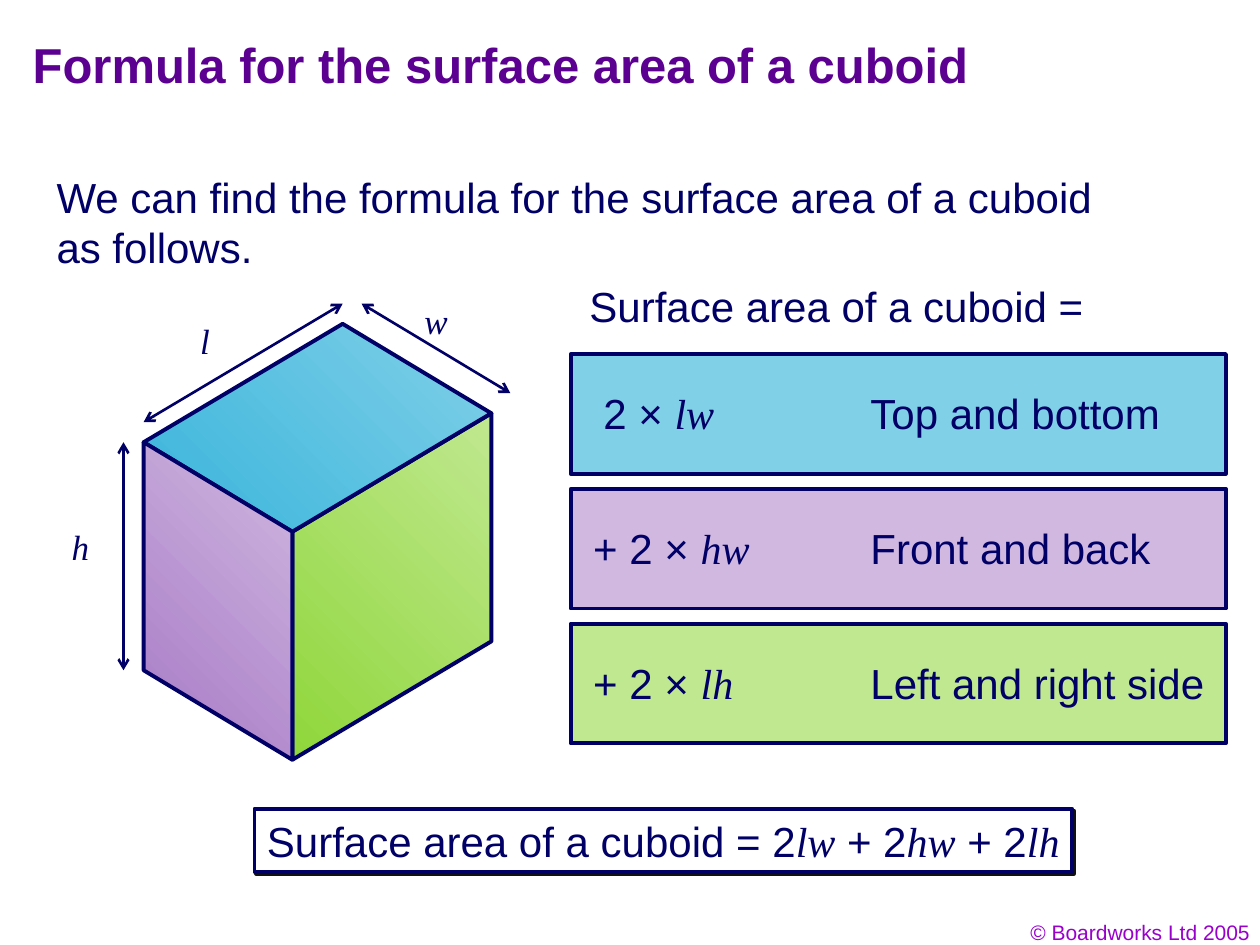
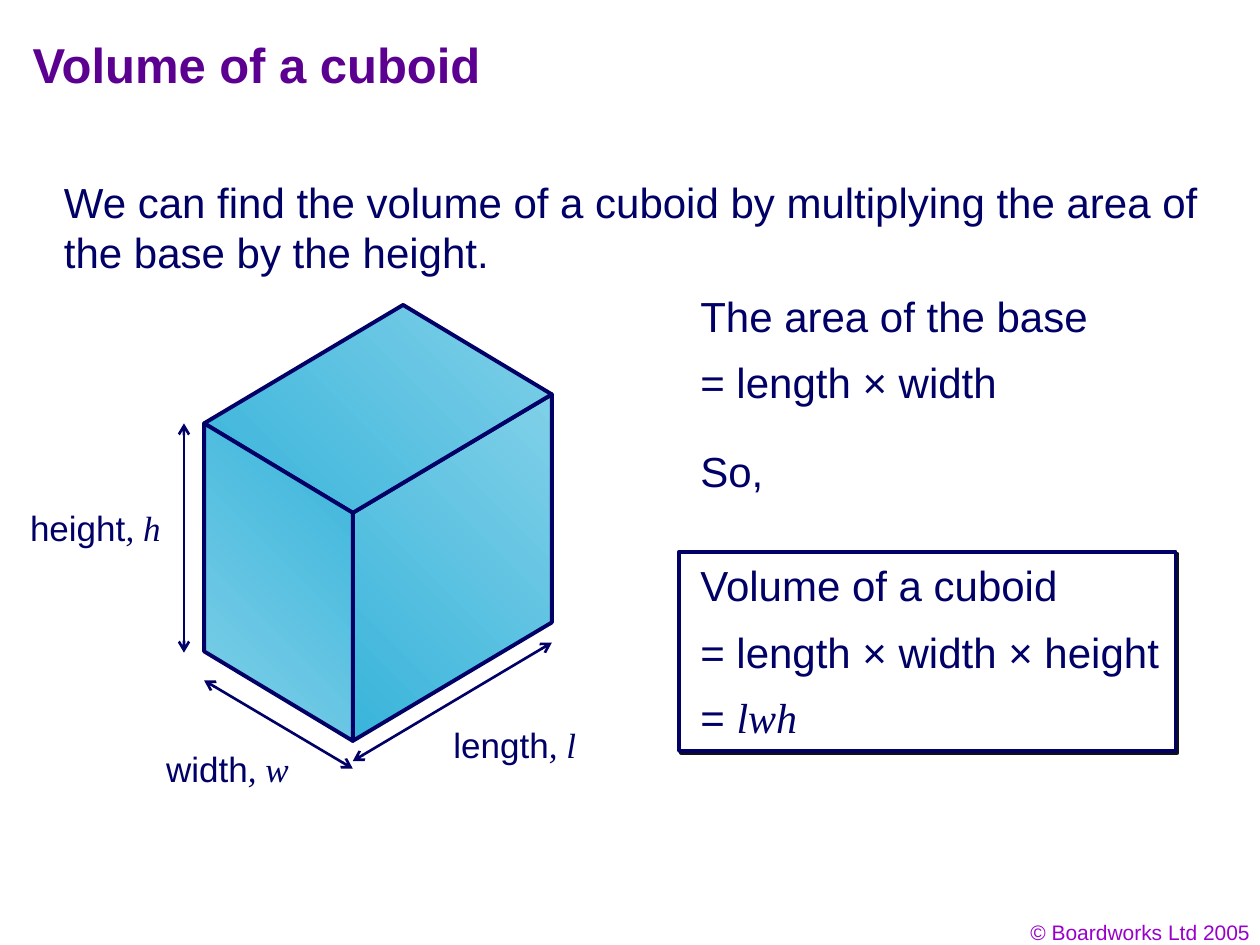
"""Build two slides on the surface area and the volume of a cuboid."""
from lxml.etree import SubElement
from pptx import Presentation
from pptx.dml.color import RGBColor
from pptx.enum.shapes import MSO_CONNECTOR, MSO_SHAPE
from pptx.enum.text import MSO_ANCHOR, MSO_AUTO_SIZE, PP_ALIGN
from pptx.oxml.ns import qn
from pptx.util import Pt

PX = 9144
INK, PURPLE, VIOLET, WHITE = "000066", "5B0091", "9900CC", "FFFFFF"
BLUE, LILAC, GREEN = "80D0E8", "D0B8E0", "C0E890"
DEEP_BLUE, DEEP_LILAC, DEEP_GREEN = "39B4DB", "A679C5", "8FD63A"
rgb = RGBColor.from_string


def write(box, text, size=24, color=INK, bold=False, wrap=False, align=PP_ALIGN.LEFT):
    """Fill a box with text, where parts between bars are italic symbols."""
    frame = box.text_frame
    frame.auto_size = MSO_AUTO_SIZE.NONE
    frame.word_wrap = wrap
    para = frame.paragraphs[0]
    para.alignment = align
    for index, part in enumerate(text.split("|")):
        if not part:
            continue
        span = para.add_run()
        span.text = part
        symbol = index % 2 == 1
        look = {"name": "Times New Roman" if symbol else "Arial",
                "size": Pt(size), "bold": bold, "italic": symbol}
        for name, value in look.items():
            setattr(span.font, name, value)
        span.font.color.rgb = rgb(color)


def add_panel(page, bounds, color, shadow=False):
    """Add an outlined rectangle, with a hard shadow if asked."""
    panel = page.shapes.add_shape(MSO_SHAPE.RECTANGLE, *[value * PX for value in bounds])
    panel.shadow.inherit = False
    panel.fill.solid()
    panel.fill.fore_color.rgb = rgb(color)
    panel.line.color.rgb = rgb(INK)
    panel.line.width = Pt(2.25)
    if shadow:
        effects = panel._element.spPr.find(qn("a:effectLst"))
        cast = SubElement(effects, qn("a:outerShdw"), dist="17961", dir="2700000",
                          algn="ctr", rotWithShape="0")
        SubElement(cast, qn("a:srgbClr"), val="111111")
    return panel


deck = Presentation()
deck.slide_width, deck.slide_height = 1000 * PX, 750 * PX

lessons = [
    {
        "title": "Formula for the surface area of a cuboid",
        "title_width": 869,
        "corner": (114, 257),
        "faces": {"right": (GREEN, DEEP_GREEN), "top": (BLUE, DEEP_BLUE),
                  "left": (LILAC, DEEP_LILAC)},
        "arrows": [(287, 241, 405, 312), (114, 335, 272, 241), (98, 351, 98, 532)],
        "labels": [("|h|", 47, 412, 34), ("|l|", 149, 249, 27), ("|w|", 327, 233, 38)],
        "intro": ("We can find the formula for the surface area of a cuboid as follows.",
                  35, 131, 862),
        "panels": [(453, 281 + 107 * row, 520, 95, color, False)
                   for row, color in enumerate((BLUE, LILAC, GREEN))],
        "lines": [("Surface area of a cuboid =", 458, 218, 452),
                  ("2 × |lw|", 469, 303, 108), ("Top and bottom", 681, 303, 253),
                  ("+ 2 × |hw|", 461, 410, 144), ("Front and back", 681, 410, 242),
                  ("+ 2 × |lh|", 461, 517, 131), ("Left and right side", 681, 517, 285)],
    },
    {
        "title": "Volume of a cuboid",
        "title_width": 720,
        "corner": (162, 242),
        "faces": {"right": (BLUE, DEEP_BLUE), "top": (BLUE, DEEP_BLUE),
                  "left": (DEEP_BLUE, BLUE)},
        "arrows": [(162, 540, 280, 610), (280, 604, 438, 510), (146, 336, 146, 518)],
        "labels": [("height|, h|", 14, 397, 123), ("length|, l|", 350, 569, 117),
                   ("width|, w|", 122, 588, 117)],
        "intro": ("We can find the volume of a cuboid by multiplying the area of "
                  "the base by the height.", 41, 135, 923),
        "panels": [(539, 438, 394, 158, WHITE, True)],
        "lines": [("The area of the base", 546, 226, 337), ("= length × width", 546, 278, 255),
                  ("So,", 546, 349, 70), ("Volume of a cuboid", 546, 439, 305),
                  ("= length × width × height", 546, 492, 384), ("= |lwh|", 546, 544, 97)],
    },
]

apex, west, front, east = (158, 0), (0, 94), (118, 165), (276, 71)
south_west, south, south_east = [(x, y + 181) for x, y in (west, front, east)]
outlines = {"right": (east, front, south, south_east),
            "top": (apex, west, front, east),
            "left": (west, south_west, south, front)}

for lesson in lessons:
    page = deck.slides.add_slide(deck.slide_layouts[5])
    title = page.shapes.title
    place = {"left": 16, "top": 16, "width": lesson["title_width"], "height": 69}
    for name, value in place.items():
        setattr(title, name, value * PX)
    title.text_frame.vertical_anchor = MSO_ANCHOR.MIDDLE
    write(title, lesson["title"], size=28, color=PURPLE, bold=True, wrap=True)

    footer = page.shapes.add_textbox(769 * PX, 725 * PX, 233 * PX, 30 * PX)
    write(footer, "© Boardworks Ltd 2005", size=12, color=VIOLET, wrap=True,
          align=PP_ALIGN.RIGHT)

    left, top = lesson["corner"]
    for side, shades in lesson["faces"].items():
        points = [(left + x, top + y) for x, y in outlines[side]]
        builder = page.shapes.build_freeform(*points[0], scale=PX)
        builder.add_line_segments(points[1:], close=True)
        face = builder.convert_to_shape()
        face.shadow.inherit = False
        face.fill.gradient()
        face.fill.gradient_angle = 225
        for position, (stop, shade) in enumerate(zip(face.fill.gradient_stops, shades)):
            stop.position = position
            stop.color.rgb = rgb(shade)
        face.line.color.rgb = rgb(INK)
        face.line.width = Pt(2.25)

    for ends in lesson["arrows"]:
        arrow = page.shapes.add_connector(MSO_CONNECTOR.STRAIGHT,
                                          *[value * PX for value in ends])
        arrow.line.color.rgb = rgb(INK)
        arrow.line.width = Pt(1.5)
        for end in ("a:headEnd", "a:tailEnd"):
            SubElement(arrow.line._get_or_add_ln(), qn(end), type="arrow")
        SubElement(arrow._element.spPr, qn("a:effectLst"))

    for *bounds, color, shadow in lesson["panels"]:
        add_panel(page, bounds, color, shadow)

    texts = [(lesson["intro"], 90, 24, True)]
    texts += [(label, 44, 20, False) for label in lesson["labels"]]
    texts += [(line, 50, 24, False) for line in lesson["lines"]]
    for (text, x, y, width), height, size, wrap in texts:
        box = page.shapes.add_textbox(x * PX, y * PX, width * PX, height * PX)
        write(box, text, size=size, wrap=wrap)

formula = add_panel(deck.slides[0], (202, 642, 649, 50), WHITE, shadow=True)
write(formula, "Surface area of a cuboid = 2|lw| + 2|hw| + 2|lh|")

deck.save("out.pptx")
